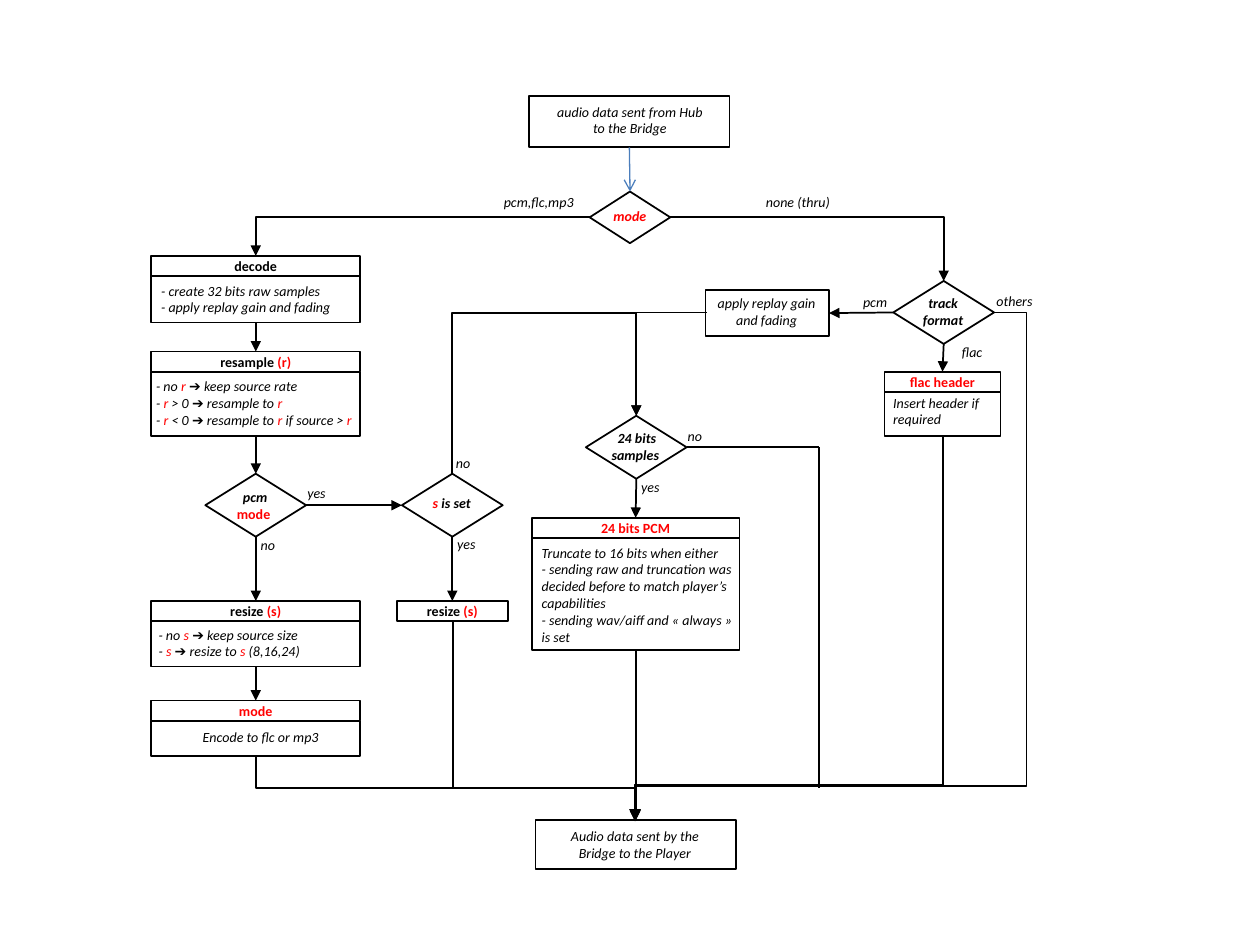
"""Build a flowchart of how audio data is routed from the server to the player."""
from itertools import cycle
from lxml.etree import SubElement as Sub
from pptx import Presentation
from pptx.dml.color import RGBColor
from pptx.enum.shapes import MSO_CONNECTOR as Conn, MSO_SHAPE as Kind
from pptx.enum.text import MSO_ANCHOR as Anchor, MSO_AUTO_SIZE as Auto, PP_ALIGN as Align
from pptx.oxml.ns import qn
from pptx.util import Inches, Pt

BLACK = RGBColor(0, 0, 0)
RED = RGBColor(255, 0, 0)
BLUE = RGBColor(0x4B, 0x7E, 0xBC)
HEAD = 0.16
TOP, LEFT, BOTTOM, RIGHT = range(4)

STYLES = {
    "i": {"bold": False, "italic": True},
    "b": {"bold": True, "italic": False},
    "bi": {"bold": True, "italic": True},
}

CARDS = {
    "decode": ("decode", 1.2, 2.03, 1.66, 0.37),
    "resample": ("resample |(r)|", 1.2, 2.79, 1.66, 0.51),
    "resize": ("resize |(s)|", 1.2, 4.77, 1.66, 0.36),
    "encode": ("|mode|", 1.2, 5.56, 1.66, 0.28),
    "short": ("resize |(s)|", 3.15, 4.77, 0.88, 0),
    "flac": ("|flac header|", 7.02, 2.95, 0.92, 0.35),
    "pcm": ("|24 bits PCM|", 4.22, 4.11, 1.65, 0.89),
}
BOXES = {
    "source": (4.2, 0.76, 1.59, 0.41),
    "player": (4.25, 6.51, 1.59, 0.39),
    "gain": (5.6, 2.3, 0.98, 0.37),
}
TESTS = {
    "mode": (4.68, 1.52, 0.64, 0.41),
    "track": (7.09, 2.23, 0.8, 0.5),
    "pcm mode": (1.63, 3.76, 0.8, 0.5),
    "set": (3.19, 3.76, 0.8, 0.5),
    "bits": (4.65, 3.3, 0.8, 0.5),
}

LEFT_TEXT = [
    (1.18, 2.19, 1.71, 0.37, ["- create 32 bits raw samples", "- apply replay gain and fading"]),
    (1.14, 2.95, 1.78, 0.5, ["- no |r |➔ keep source rate", "- |r| > 0 ➔ resample to |r|",
                             "- |r| < 0 ➔ resample to |r| if source > |r|"]),
    (1.16, 4.92, 1.78, 0.37, ["- no |s |➔ keep source size", "- |s |➔ resize to |s| (8,16,24)"]),
    (6.99, 3.08, 0.99, 0.37, ["Insert header if required"]),
    (4.2, 4.27, 1.78, 1.04, [
        "Truncate to 16 bits when either",
        "- sending raw and truncation was decided before to match player’s capabilities",
        "- sending wav/aiff and « always » is set"]),
    (3.9, 1.49, 1.12, 0.24, ["pcm,flc,mp3"]),
    (5.98, 1.49, 1.12, 0.24, ["none (thru)"]),
    (7.81, 2.27, 0.89, 0.24, ["others"]),
    (1.97, 4.21, 0.52, 0.24, ["no"]),
    (3.52, 3.56, 0.52, 0.24, ["no"]),
    (5.36, 3.34, 0.52, 0.24, ["no"]),
    (2.34, 3.8, 0.52, 0.24, ["yes"]),
    (3.53, 4.2, 0.52, 0.24, ["yes"]),
    (4.99, 3.75, 0.52, 0.24, ["yes"]),
]
MID_TEXT = [
    (4.29, 0.77, 1.42, 0.37, ["audio data sent from Hub to the Bridge"]),
    (4.33, 6.52, 1.42, 0.37, ["Audio data sent by the Bridge to the Player"]),
    (5.58, 2.29, 1.01, 0.37, ["apply replay gain and fading"]),
    (1.18, 5.73, 1.78, 0.24, ["Encode to flc or mp3"]),
    (6.67, 2.28, 0.55, 0.24, ["pcm"]),
    (7.49, 2.68, 0.45, 0.24, ["flac"]),
]
TEST_TEXT = [
    (4.73, 1.6, 0.54, 0.24, ["|mode|"], ["bi"], None),
    (7.19, 2.28, 0.59, 0.38, ["track format"], ["bi"], Pt(10)),
    (1.73, 3.82, 0.59, 0.38, ["pcm", "|mode |"], ["bi", "b"], Pt(10)),
    (4.75, 3.35, 0.61, 0.38, ["24 bits samples "], ["bi"], Pt(10)),
    (3.29, 3.87, 0.59, 0.24, ["|s |is set"], ["bi"], Pt(10)),
]

FLOWS = [
    ("decode end", BOTTOM, "resample", TOP),
    ("resample end", BOTTOM, "pcm mode", TOP),
    ("pcm mode", BOTTOM, "resize", TOP),
    ("resize end", BOTTOM, "encode", TOP),
    ("pcm mode", RIGHT, "set", LEFT),
    ("set", BOTTOM, "short", TOP),
    ("track", LEFT, "gain", RIGHT),
    ("track", BOTTOM, "flac", TOP),
    ("bits", BOTTOM, "pcm", TOP),
    ("pcm end", BOTTOM, "player", TOP),
]
BENDS = [
    (2.03, 1.72, 2.65, 0.31, 180, "V", 2, []),
    (5.31, 1.72, 2.18, 0.51, 0, "", 2, []),
    (5.05, 2.48, 0.56, 0.82, 180, "V", 2, []),
    (4.09, 2.8, 0.46, 1.46, 90, "HV", 3, [2.77]),
    (4.74, 3.76, 3.04, 2.45, 90, "", 3, [0.91]),
    (3.28, 4.75, 0.51, 3.01, 270, "H", 3, [0.5]),
    (3.53, 4.99, 1.58, 1.45, 270, "H", 3, [0.84]),
    (5.04, 2.48, 2.85, 4.04, 0, "H", 4, [-0.09, 0.93]),
]

deck = Presentation()
deck.slide_width, deck.slide_height = Inches(10), Inches(7.5)
slide = deck.slides.add_slide(deck.slide_layouts[6])
parts = slide.shapes
nodes = {}


def write(frame, lines, styles=("i",), align=Align.LEFT, gap=None):
    frame.word_wrap = True
    for num, (line, style) in enumerate(zip(lines, cycle(styles))):
        para = frame.paragraphs[0] if num == 0 else frame.add_paragraph()
        para.alignment, para.line_spacing = align, gap
        for odd, piece in enumerate(line.split("|")):
            if piece:
                run = para.add_run()
                run.text = piece
                run.font.color.rgb = RED if odd % 2 else BLACK
                for key, val in {"name": "Calibri", "size": Pt(8), **STYLES[style]}.items():
                    setattr(run.font, key, val)


def label(x, y, w, h, lines, styles=("i",), gap=None, align=Align.CENTER):
    frame = parts.add_textbox(*map(Inches, (x, y, w, h))).text_frame
    write(frame, lines, styles, align, gap)
    frame.auto_size = Auto.SHAPE_TO_FIT_TEXT


def node(name, kind, *spot):
    shape = parts.add_shape(kind, *map(Inches, spot))
    shape.shadow.inherit = False
    shape.fill.background()
    shape.line.color.rgb, shape.line.width = BLACK, Pt(1)
    nodes[name] = shape
    return shape


def link(kind, x1, y1, x2, y2, tip="triangle", color=BLACK, width=1):
    line = parts.add_connector(kind, *map(Inches, (x1, y1, x2, y2)))
    line.line.color.rgb, line.line.width = color, Pt(width)
    props = line.element.spPr
    if tip:
        Sub(props.find(qn("a:ln")), qn("a:tailEnd"), type=tip)
    Sub(props, qn("a:effectLst"))
    return line


def join(start, out, end, into, **look):
    line = link(Conn.STRAIGHT, 0, 0, 1, 1, **look)
    line.begin_connect(nodes[start], out)
    line.end_connect(nodes[end], into)


def bend(x, y, w, h, turn, flips, bends, ratios):
    props = link(Conn.ELBOW, x, y, x + w, y + h).element.spPr
    frame, geom = props.find(qn("a:xfrm")), props.find(qn("a:prstGeom"))
    frame.set("rot", str(turn * 60000))
    for flip in flips:
        frame.set("flip" + flip, "1")
    geom.set("prst", f"bentConnector{bends}")
    for num, ratio in enumerate(ratios, 1):
        Sub(geom.find(qn("a:avLst")), qn("a:gd"), name=f"adj{num}",
            fmla=f"val {round(ratio * 100000)}")


for name, (title, x, y, w, h) in CARDS.items():
    head = node(name, Kind.RECTANGLE, x, y, w, HEAD).text_frame
    head.vertical_anchor = Anchor.MIDDLE
    write(head, [title], ["b"], Align.CENTER)
    if h:
        node(name + " end", Kind.RECTANGLE, x, y + HEAD, w, h)
for kind, group in ((Kind.RECTANGLE, BOXES), (Kind.FLOWCHART_DECISION, TESTS)):
    for name, spot in group.items():
        node(name, kind, *spot)
for item in LEFT_TEXT:
    label(*item, align=Align.LEFT)
for item in MID_TEXT + TEST_TEXT:
    label(*item)
for flow in FLOWS:
    join(*flow)
join("source", BOTTOM, "mode", TOP, tip="arrow", color=BLUE, width=0.75)
for item in BENDS:
    bend(*item)
link(Conn.STRAIGHT, 5.45, 3.55, 6.5, 3.55, tip=None).begin_connect(nodes["bits"], RIGHT)
link(Conn.STRAIGHT, 6.5, 3.55, 6.5, 6.25, tip=None)
deck.save("out.pptx")
